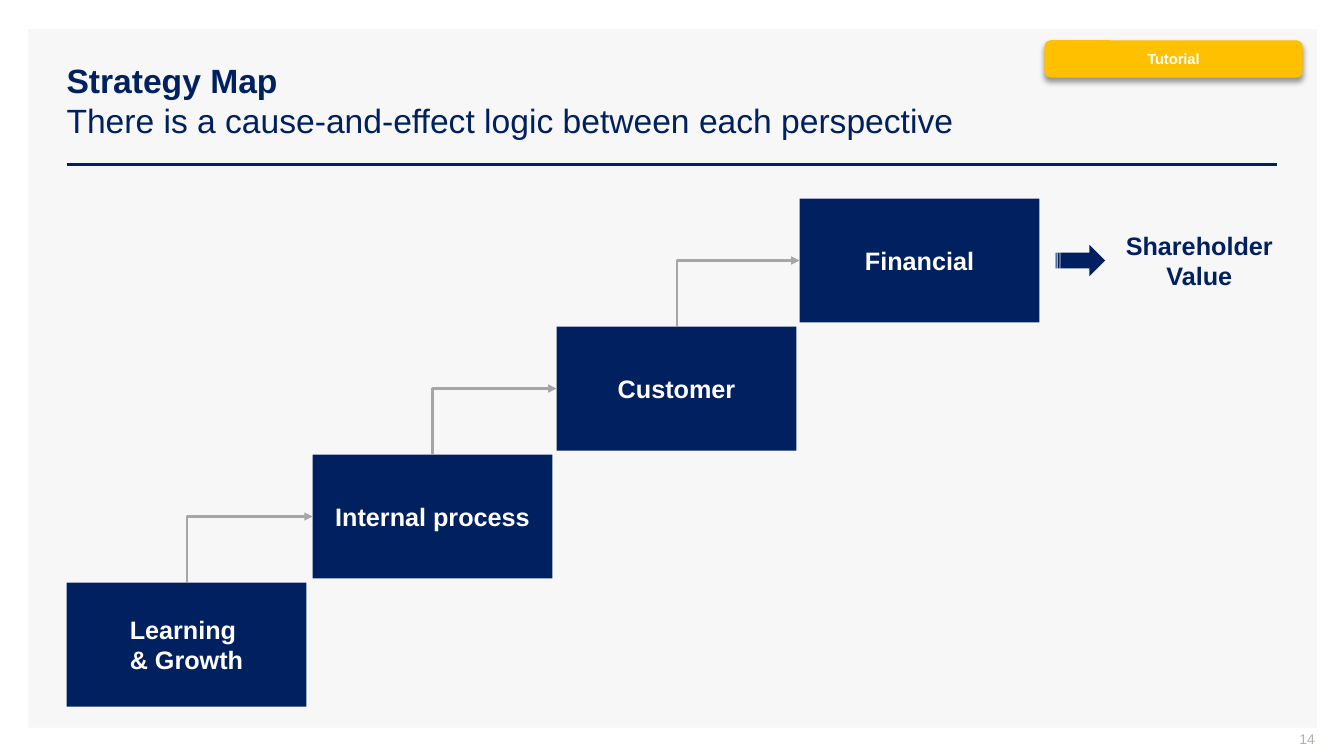
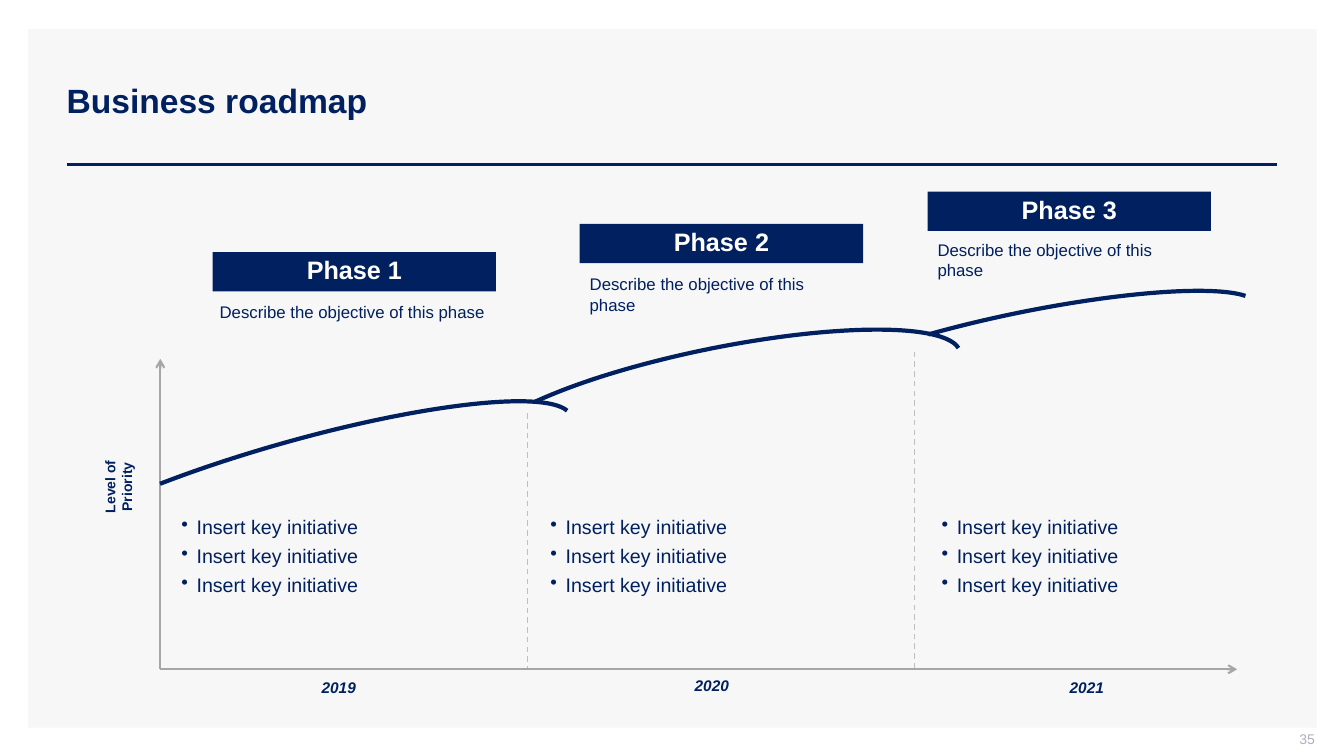
from lxml.etree import SubElement
from pptx import Presentation
from pptx.dml.color import RGBColor
from pptx.enum.dml import MSO_LINE
from pptx.enum.shapes import MSO_CONNECTOR, MSO_SHAPE
from pptx.enum.text import MSO_ANCHOR, PP_ALIGN
from pptx.oxml.ns import qn
from pptx.util import Pt

EMU_PER_PX = 9144
FONT = "Arial"
COLORS = {
    "navy": "002060",
    "panel": "F7F7F7",
    "white": "FFFFFF",
    "axis": "A6A6A6",
    "divider": "BFBFBF",
    "page": "ADAFBB",
    "tag": "FFC000",
    "shadow": "000000",
}
MIDDLE = {"vertical_anchor": MSO_ANCHOR.MIDDLE}
CENTER = {"alignment": PP_ALIGN.CENTER}


def px(length):
    """Turn px into EMU."""
    return round(length * EMU_PER_PX)


def rgb(name):
    """Look up a palette colour."""
    return RGBColor.from_string(COLORS[name])


def apply(target, values):
    """Set every attribute in a dict of format values."""
    for key, value in values.items():
        setattr(target, key, value)


def insets(left, top, right, bottom):
    """Give text frame margins as format values."""
    sides = {"left": left, "top": top, "right": right, "bottom": bottom}
    return {f"margin_{side}": px(size) for side, size in sides.items()}


def style_run(run, size, color, **font):
    """Format one run of text."""
    apply(run.font, {"name": FONT, "size": Pt(size), **font})
    run.font.color.rgb = rgb(color)


def write(holder, lines, size, color="navy", frame=None, para=None, bullet=False, **font):
    """Fill a shape with equally formatted paragraphs."""
    text = holder.text_frame
    apply(text, {"word_wrap": True, **(frame or {})})
    for index, line in enumerate(lines):
        paragraph = text.paragraphs[0] if index == 0 else text.add_paragraph()
        apply(paragraph, para or {})
        if bullet:
            properties = paragraph._p.get_or_add_pPr()
            properties.set("marL", str(px(25)))
            properties.set("indent", str(px(-15)))
            SubElement(properties, qn("a:buChar")).set("char", "•")
        run = paragraph.add_run()
        run.text = line
        style_run(run, size, color, **font)


def add_label(slide, box, lines, size, rotation=0, **options):
    """Add a text box."""
    label = slide.shapes.add_textbox(*map(px, box))
    label.rotation = rotation
    write(label, lines, size, **options)
    return label


def add_block(slide, box, fill, kind=MSO_SHAPE.RECTANGLE):
    """Add a filled shape with no outline."""
    block = slide.shapes.add_shape(kind, *map(px, box))
    block.shadow.inherit = False
    block.fill.solid()
    block.fill.fore_color.rgb = rgb(fill)
    block.line.fill.background()
    return block


def add_curve(slide, box, rotation, angles):
    """Add a thick open arc."""
    curve = slide.shapes.add_shape(MSO_SHAPE.ARC, *map(px, box))
    curve.shadow.inherit = False
    curve.rotation = rotation
    for index, angle in enumerate(angles):
        curve.adjustments[index] = angle
    curve.fill.background()
    curve.line.color.rgb = rgb("navy")
    curve.line.width = Pt(3)


def add_line(slide, start, end, color, width, head=None, dash=None,
             kind=MSO_CONNECTOR.STRAIGHT):
    """Add a connector with an optional arrowhead or dash."""
    line = slide.shapes.add_connector(kind, *map(px, (*start, *end)))
    line.line.color.rgb = rgb(color)
    line.line.width = Pt(width)
    if dash:
        line.line.dash_style = dash
    if head:
        SubElement(line.line._get_or_add_ln(), qn("a:tailEnd")).set("type", head)
    SubElement(line._element.spPr, qn("a:effectLst"))
    return line


def add_step_arrow(slide, lower, upper):
    """Lead from the top of one step to the left side of the next."""
    arrow = add_line(slide, (0, 0), (1, 1), "axis", 1.5, "triangle",
                     kind=MSO_CONNECTOR.ELBOW)
    arrow.begin_connect(lower, 0)
    arrow.end_connect(upper, 1)
    start_x, start_y = lower.left + lower.width // 2, lower.top
    end_x, end_y = upper.left, upper.top + upper.height // 2
    run, rise = end_x - start_x, start_y - end_y
    apply(arrow, {
        "left": (start_x + end_x - rise) // 2,
        "top": (start_y + end_y - run) // 2,
        "width": rise,
        "height": run,
    })
    properties = arrow._element.spPr
    for key, value in {"rot": "5400000", "flipH": "1", "flipV": "1"}.items():
        properties.find(qn("a:xfrm")).set(key, value)
    properties.find(qn("a:prstGeom")).set("prst", "bentConnector2")


def add_tag(slide, caption):
    """Add the shadowed tag in the top right corner."""
    tag = add_block(slide, (1036, 40, 256, 37), "tag", MSO_SHAPE.ROUNDED_RECTANGLE)
    write(tag, [caption], 10.5, "white", MIDDLE, CENTER, bold=True)
    effects = tag._element.spPr.find(qn("a:effectLst"))
    shadow = SubElement(effects, qn("a:outerShdw"))
    for key, value in {"blurRad": Pt(4), "dist": Pt(3), "dir": 5400000, "rotWithShape": 0}.items():
        shadow.set(key, str(value))
    tint = SubElement(shadow, qn("a:srgbClr"))
    tint.set("val", COLORS["shadow"])
    SubElement(tint, qn("a:alpha")).set("val", "40000")


def decorate_layout(layout, slide):
    """Put the panel and the title rule on the shared layout."""
    panel = add_block(slide, (28, 29, 1278, 693), "panel")
    rule = add_line(slide, (66, 163), (1267, 163), "navy", 2)
    for position, part in enumerate((panel, rule), start=2):
        layout.shapes._spTree.insert(position, part._element)


def start_slide(prs, page, heading, subheading=None):
    """Add a slide with its title and page number."""
    slide = prs.slides.add_slide(prs.slide_layouts[5])
    title = slide.shapes.title
    apply(title, dict(zip(("left", "top", "width", "height"), map(px, (56, 40, 1211, 119)))))
    write(title, [heading], 24, frame=MIDDLE, para={"alignment": PP_ALIGN.LEFT}, bold=True)
    if subheading:
        paragraph = title.text_frame.paragraphs[0]
        paragraph.add_line_break()
        run = paragraph.add_run()
        run.text = subheading
        style_run(run, 24, "navy", bold=False)
    add_label(slide, (1004, 725, 300, 21), [page], 10, color="page",
              frame={**MIDDLE, **insets(10, 0, 0, 5)}, para={"alignment": PP_ALIGN.RIGHT})
    return slide


def build_strategy_map(slide):
    """Draw the staircase of perspectives."""
    perspectives = [
        (66, ["Learning ", "& Growth"]),
        (310, ["Internal process"]),
        (552, ["Customer"]),
        (793, ["Financial"]),
    ]
    steps = []
    for index, (left, lines) in enumerate(perspectives):
        step = add_block(slide, (left, 578 - 127 * index, 238, 123), "navy")
        write(step, lines, 18, "white", MIDDLE, CENTER, bold=True)
        steps.append(step)
    for lower, upper in zip(steps, steps[1:]):
        add_step_arrow(slide, lower, upper)
    add_block(slide, (1047, 243, 49, 31), "navy", MSO_SHAPE.STRIPED_RIGHT_ARROW)
    add_label(slide, (1111, 228, 157, 61), ["Shareholder Value"], 18,
              frame={**MIDDLE, **insets(0, 0, 0, 0)}, para=CENTER, bold=True)
    add_tag(slide, "Tutorial")


def build_roadmap(slide):
    """Draw the three phases over the time axis."""
    for x, top in ((523, 410), (907, 349)):
        add_line(slide, (x, top), (x, 664), "divider", 1, dash=MSO_LINE.DASH)
    for end in ((159, 356), (1227, 664)):
        add_line(slide, (159, 664), end, "axis", 1.5, "arrow")
    add_label(slide, (67, 461, 101, 44), ["Level of Priority"], 10, rotation=270,
              frame=insets(0, 5, 0, 5), para=CENTER, bold=True)

    curves = [
        ((11, 438, 566, 104), 344.2, (120.02, 215.23)),
        ((472, 345, 485, 104), 348.6, (114.56, 215.43)),
        ((790, 309, 461, 78), 348.6, (120.36, 214.31)),
    ]
    for curve in curves:
        add_curve(slide, *curve)

    phases = [
        ("Phase 1", (211, 250), (208, 294, 285, 30), 166, "2019", (309, 668)),
        ("Phase 2", (575, 222), (575, 267, 281, 50), 532, "2020", (679, 666)),
        ("Phase 3", (920, 190), (920, 233, 281, 50), 920, "2021", (1051, 668)),
    ]
    for phase, corner, objective_box, initiatives_left, year, year_corner in phases:
        banner = add_block(slide, (*corner, 281, 39), "navy")
        write(banner, [phase], 18, "white", {**MIDDLE, **insets(0, 8, 0, 8)},
              {**CENTER, "line_spacing": 0.9}, bold=True)
        add_label(slide, objective_box, ["Describe the objective of this phase"], 12,
                  para={"space_after": Pt(6)})
        add_label(slide, (initiatives_left, 510, 347, 111), ["Insert key initiative"] * 3, 14,
                  frame=insets(4, 1, 4, 4), para={"space_after": Pt(4)}, bullet=True)
        add_label(slide, (*year_corner, 54, 29), [year], 11,
                  frame={"word_wrap": False}, para=CENTER, bold=True, italic=True)


def main():
    """Build and save the presentation."""
    prs = Presentation()
    prs.slide_width, prs.slide_height = px(1333), px(750)
    strategy = start_slide(prs, "14", "Strategy Map",
                           "There is a cause-and-effect logic between each perspective")
    decorate_layout(prs.slide_layouts[5], strategy)
    build_strategy_map(strategy)
    build_roadmap(start_slide(prs, "35", "Business roadmap"))
    prs.save("out.pptx")


if __name__ == "__main__":
    main()
